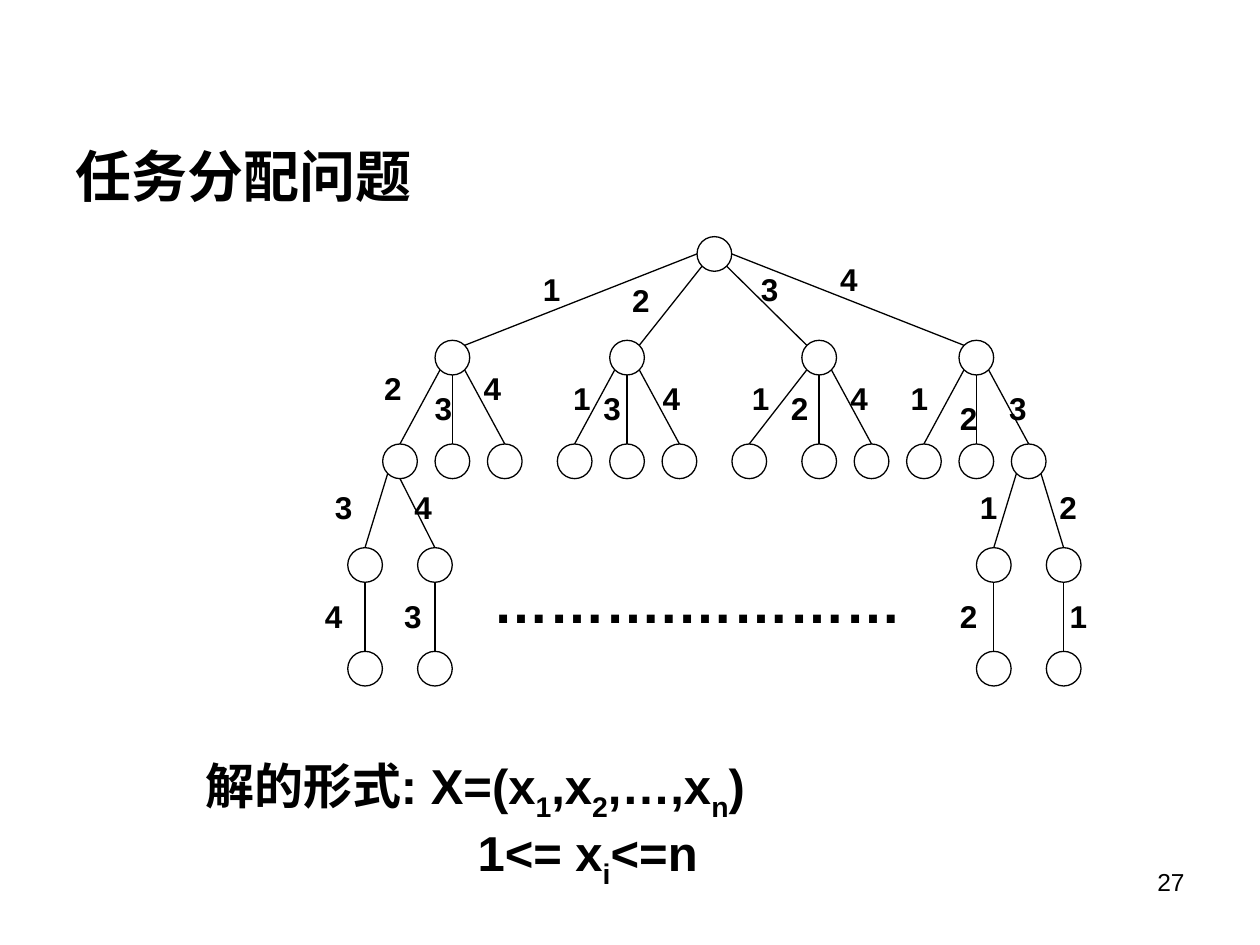
from pptx import Presentation
from pptx.dml.color import RGBColor
from pptx.enum import shapes, text
from pptx.oxml import parse_xml
from pptx.oxml.ns import nsdecls
from pptx.util import Pt

INK, PAPER = "000000", "FFFFFF"
COLUMN, LEVEL, NODE = 9.98, 59.25, 19.8
DIAGONAL = 0.71
SITES = {
    "N": (0, -1), "S": (0, 1), "W": (-1, 0), "E": (1, 0),
    "NW": (-DIAGONAL, -DIAGONAL), "NE": (DIAGONAL, -DIAGONAL),
    "SW": (-DIAGONAL, DIAGONAL), "SE": (DIAGONAL, DIAGONAL),
}
ROOT = 20
# level, parent column, then for each branch: column, start, end, label, label left, label top
BRANCHES = [
    (0, 20, [(5, "W", "NE", "1", 104.4, 15.8), (15, "SW", "NE", "2", 155.5, 21.6),
             (26, "SE", "NW", "3", 229, 15.8), (35, "E", "NW", "4", 274.3, 10.1)]),
    (1, 5, [(2, "SW", "N", "2", 13.7, 72), (5, "S", "N", "3", 42.5, 83.5),
            (8, "SE", "N", "4", 70.6, 72)]),
    (1, 15, [(12, "SW", "N", "1", 121.7, 77.8), (15, "S", "N", "3", 139, 83.5),
             (18, "SE", "N", "4", 172.8, 77.8)]),
    (1, 26, [(22, "SW", "N", "1", 223.9, 77.8), (26, "S", "N", "2", 246.2, 83.5),
             (29, "SE", "N", "4", 280.1, 77.8)]),
    (1, 35, [(32, "SW", "N", "1", 314.6, 77.8), (35, "S", "N", "2", 342.7, 89.3),
             (38, "SE", "N", "3", 370.8, 83.5)]),
    (2, 2, [(0, "SW", "N", "3", -14.4, 140.4), (4, "S", "N", "4", 31, 140.4)]),
    (2, 38, [(36, "SW", "N", "1", 354.2, 140.4), (40, "SE", "N", "2", 399.6, 140.4)]),
    (3, 0, [(0, "S", "N", "4", -20.2, 202.3)]),
    (3, 4, [(4, "S", "N", "3", 25.2, 202.3)]),
    (3, 36, [(36, "S", "N", "2", 342.7, 202.3)]),
    (3, 40, [(40, "S", "N", "1", 405.4, 202.3)]),
]
SOLUTION = [
    (0, [("解的形式: X=(x", False), ("1", True), (",x", False), ("2", True),
         (",…,x", False), ("n", True), (")", False)]),
    (155.6, [("1<= x", False), ("i", True), ("<=n", False)]),
]


def color(value):
    """Turn a hex string into a colour."""
    return RGBColor.from_string(value)


def add_run(paragraph, words, size, bold=True, subscript=False):
    """Append one formatted run to a paragraph."""
    run = paragraph.add_run()
    run.text = words
    run.font.name, run.font.size, run.font.bold = "Arial", Pt(size), bold
    run.font.color.rgb = color(INK)
    if subscript:
        run.font._element.set("baseline", "-25000")


def add_frame(slide, left, top, width, height):
    """Add a wrapping text box and return its text frame."""
    frame = slide.shapes.add_textbox(Pt(left), Pt(top), Pt(width), Pt(height)).text_frame
    frame.word_wrap = True
    return frame


def add_node(slide, x, y):
    """Draw a tree node centred on a point."""
    node = slide.shapes.add_shape(
        shapes.MSO_SHAPE.OVAL, Pt(x - NODE / 2), Pt(y - NODE / 2), Pt(NODE), Pt(NODE))
    node.shadow.inherit = False
    node.fill.solid()
    node.fill.fore_color.rgb = color(PAPER)
    node.line.color.rgb = color(INK)
    node.line.width = Pt(0.74)


def add_edge(slide, parent, child, start, end):
    """Join the named rim sites of two nodes."""
    points = [Pt(center + offset * NODE / 2)
              for node, site in ((parent, start), (child, end))
              for center, offset in zip(node, SITES[site])]
    edge = slide.shapes.add_connector(shapes.MSO_CONNECTOR.STRAIGHT, *points)
    edge.line.color.rgb = color(INK)
    edge.line.width = Pt(0.74)
    edge._element.spPr.append(parse_xml(f"<a:effectLst {nsdecls('a')}/>"))


def add_tree(slide, left, top):
    """Draw the search tree with its labels and ellipsis."""
    def center(column, level):
        """Locate a node on the tree grid."""
        return left + NODE / 2 + column * COLUMN, top + NODE / 2 + level * LEVEL

    add_node(slide, *center(ROOT, 0))
    for level, parent, branches in BRANCHES:
        for column, start, end, label, dx, dy in branches:
            child = center(column, level + 1)
            add_node(slide, *child)
            add_edge(slide, center(parent, level), child, start, end)
            frame = add_frame(slide, left + dx, top + dy, 34, 28.8)
            add_run(frame.paragraphs[0], label, 18)
    ellipsis = add_frame(slide, left + 76.3, top + 185.8, 255, 46)
    add_run(ellipsis.paragraphs[0], "……….…………", 32)


def add_heading(slide, left, top, width, height):
    """Place and format the title placeholder."""
    heading = slide.shapes.title
    heading.left, heading.top, heading.width, heading.height = map(Pt, (left, top, width, height))
    frame = heading.text_frame
    frame.auto_size = text.MSO_AUTO_SIZE.NONE
    frame.vertical_anchor = text.MSO_ANCHOR.TOP
    frame.paragraphs[0].alignment = text.PP_ALIGN.LEFT
    add_run(frame.paragraphs[0], "任务分配问题", 32)


def add_solution(slide, left, top, width, height):
    """Write the form of the solution and its bounds."""
    frame = add_frame(slide, left, top, width, height)
    for index, (indent, parts) in enumerate(SOLUTION):
        line = frame.add_paragraph() if index else frame.paragraphs[0]
        line._p.get_or_add_pPr().set("marL", str(Pt(indent)))
        for words, subscript in parts:
            add_run(line, words, 28, subscript=subscript)


def add_page_number(slide, left, top, width, height):
    """Write the page number at the right."""
    number = add_frame(slide, left, top, width, height).paragraphs[0]
    number.alignment = text.PP_ALIGN.RIGHT
    add_run(number, "27", 14, bold=False)


def main():
    """Build and save the slide."""
    deck = Presentation()
    deck.slide_width, deck.slide_height = Pt(720), Pt(540)
    slide = deck.slides.add_slide(deck.slide_layouts[5])
    add_heading(slide, 36, 77, 648, 405.4)
    add_tree(slide, 198.7, 135.2)
    add_solution(slide, 110.2, 428.4, 442, 83.5)
    add_page_number(slide, 516.2, 491.8, 167.8, 37.4)
    deck.save("out.pptx")


main()
